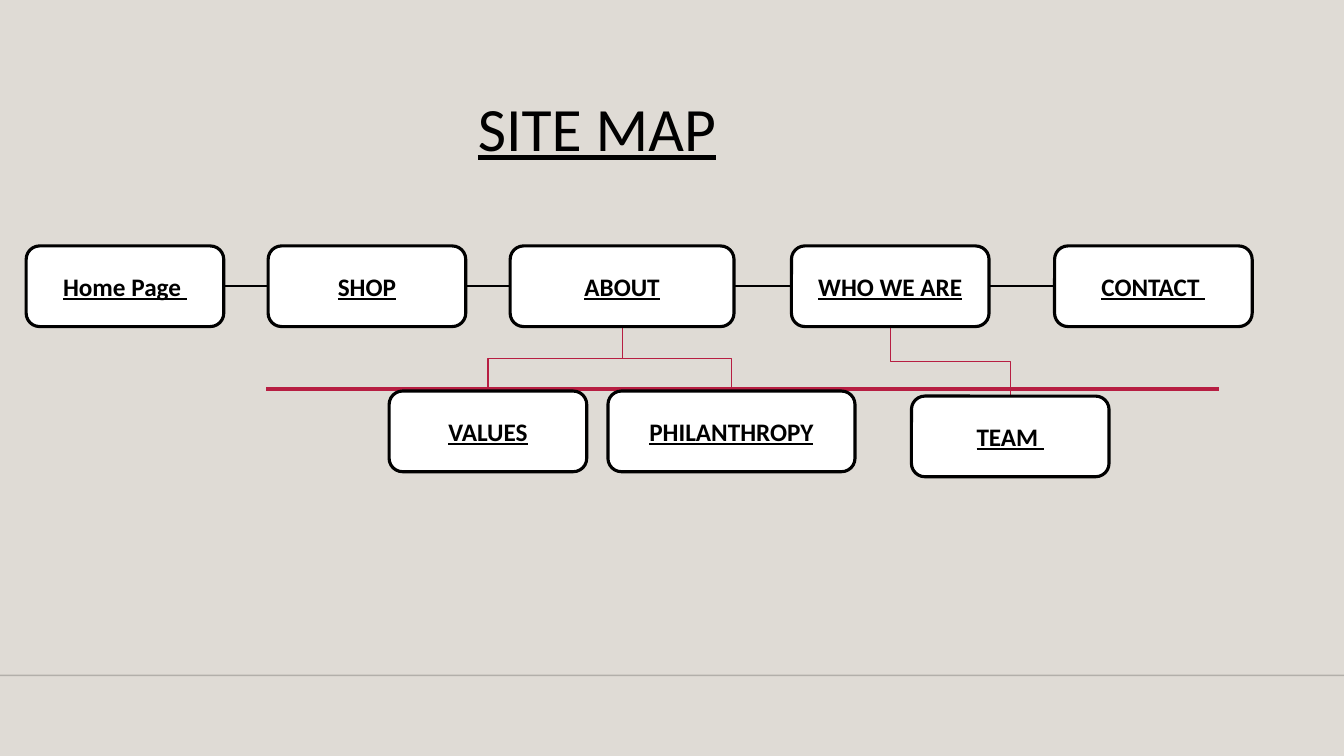
from lxml.etree import SubElement
from pptx import Presentation
from pptx.dml.color import RGBColor
from pptx.enum.shapes import MSO_CONNECTOR as LINK, MSO_SHAPE as SHAPE
from pptx.enum.text import MSO_ANCHOR as ANCHOR, PP_ALIGN as ALIGN
from pptx.oxml.ns import qn
from pptx.util import Inches, Pt

BLACK, WHITE, RED, SAND = "000000", "FFFFFF", "B71E42", "DFDBD5"
TALL, TOP = 0.8, 2.44
# label: (left, top, width)
PAGES = {
    "Home Page ": (0.26, TOP, 1.96),
    "SHOP": (2.66, TOP, 1.96),
    "ABOUT": (5.06, TOP, 2.22),
    "WHO WE ARE": (7.85, TOP, 1.96),
    "CONTACT ": (10.46, TOP, 1.96),
}
SUBS = {
    "VALUES": (3.86, 3.88, 1.96),
    "PHILANTHROPY": (6.03, 3.88, 2.45),
    "TEAM ": (9.04, 3.93, 1.96),
}
BRANCHES = [("ABOUT", "VALUES"), ("ABOUT", "PHILANTHROPY"), ("WHO WE ARE", "TEAM ")]
BOXES = PAGES | SUBS


def color(code):
    return RGBColor.from_string(code)


def write(frame, text, align, **style):
    frame.text = text
    frame.word_wrap = True
    para = frame.paragraphs[0]
    para.alignment = align
    font = para.runs[0].font
    font.color.rgb = color(BLACK)
    for name, value in ({"name": "Calibri", "underline": True} | style).items():
        setattr(font, name, value)


def link(start, end, code, width, kind=LINK.STRAIGHT):
    line = slide.shapes.add_connector(kind, *map(Inches, start + end))
    line.line.color.rgb = color(code)
    line.line.width = Pt(width)
    SubElement(line._element.spPr, qn("a:effectLst"))
    return line


def branch(start, end):
    """Draw an elbow that leaves downwards: a sideways one, turned."""
    (x1, y1), (x2, y2) = start, end
    midx, midy = (x1 + x2) / 2, (y1 + y2) / 2
    right = x2 > x1
    run = (y2 - y1) / 2 * (-1 if right else 1)
    rise = abs(x2 - x1) / 2
    line = link((midx - run, midy - rise), (midx + run, midy + rise), RED, 0.75, LINK.ELBOW)
    turn = 270 if right else 90
    line._element.spPr.find(qn("a:xfrm")).set("rot", str(turn * 60000))


def box(label, left, top, width):
    shape = slide.shapes.add_shape(SHAPE.ROUNDED_RECTANGLE, *map(Inches, (left, top, width, TALL)))
    shape.shadow.inherit = False
    shape.fill.solid()
    shape.fill.fore_color.rgb = color(WHITE)
    shape.line.color.rgb = color(BLACK)
    shape.line.width = Pt(2.25)
    shape.text_frame.vertical_anchor = ANCHOR.MIDDLE
    write(shape.text_frame, label, ALIGN.CENTER, size=Pt(18), bold=True)


deck = Presentation()
deck.slide_width, deck.slide_height = Inches(13.33), Inches(7.5)
slide = deck.slides.add_slide(deck.slide_layouts[5])
slide.background.fill.solid()
slide.background.fill.fore_color.rgb = color(SAND)

title = slide.shapes.title
title.left, title.top, title.width, title.height = map(Inches, (4.64, 0.84, 6.41, 0.84))
title.text_frame.vertical_anchor = ANCHOR.TOP
write(title.text_frame, "SITE MAP", ALIGN.LEFT, size=Pt(44))

foot = link((0, 6.7), (13.33, 6.7), BLACK, 1)
tint = foot._element.spPr.find(".//" + qn("a:srgbClr"))
SubElement(tint, qn("a:alpha"), val="20000")
link((2.64, 3.86), (12.09, 3.86), RED, 2.5)

row = list(PAGES.values())
for (left, top, width), (after, _, _) in zip(row, row[1:]):
    mid = top + TALL / 2
    link((left + width, mid), (after, mid), BLACK, 1.25)

for parent, child in BRANCHES:
    (left, top, width), (sub, low, span) = BOXES[parent], BOXES[child]
    branch((left + width / 2, top + TALL), (sub + span / 2, low))

for label, place in BOXES.items():
    box(label, *place)

deck.save("out.pptx")
